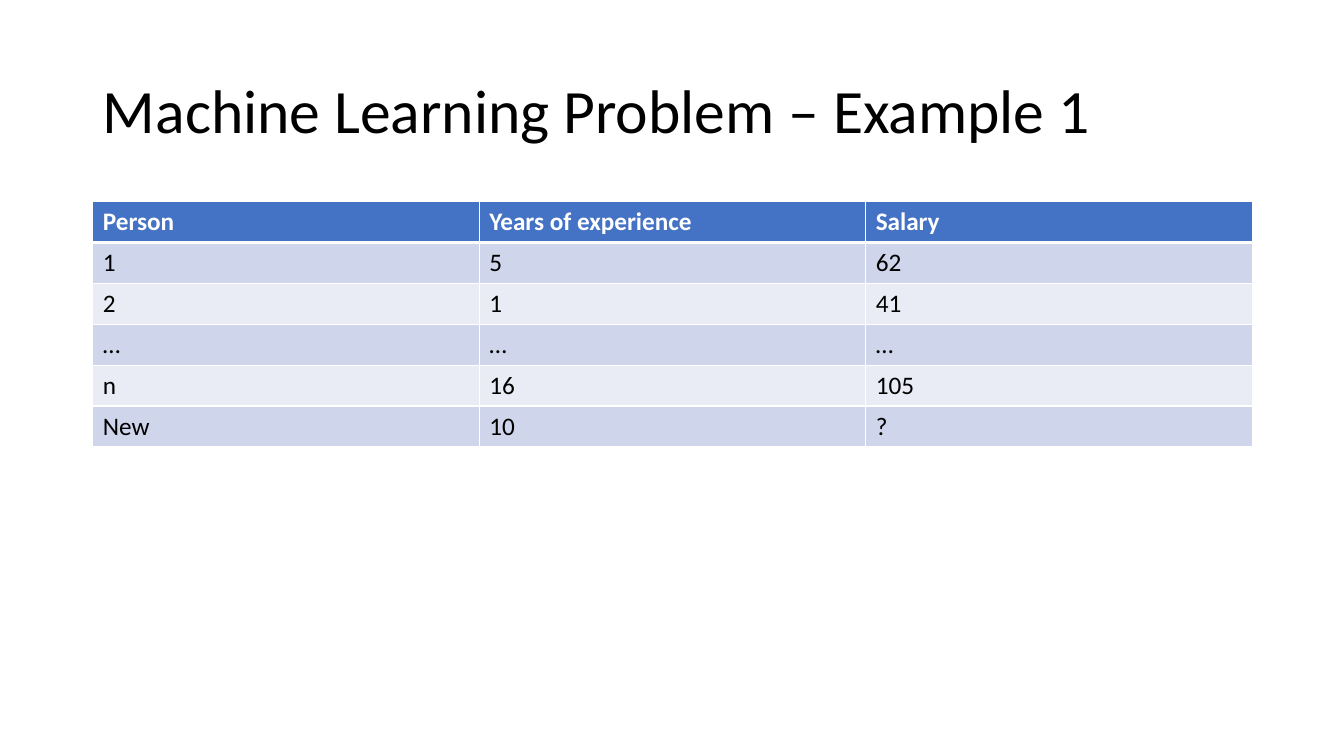
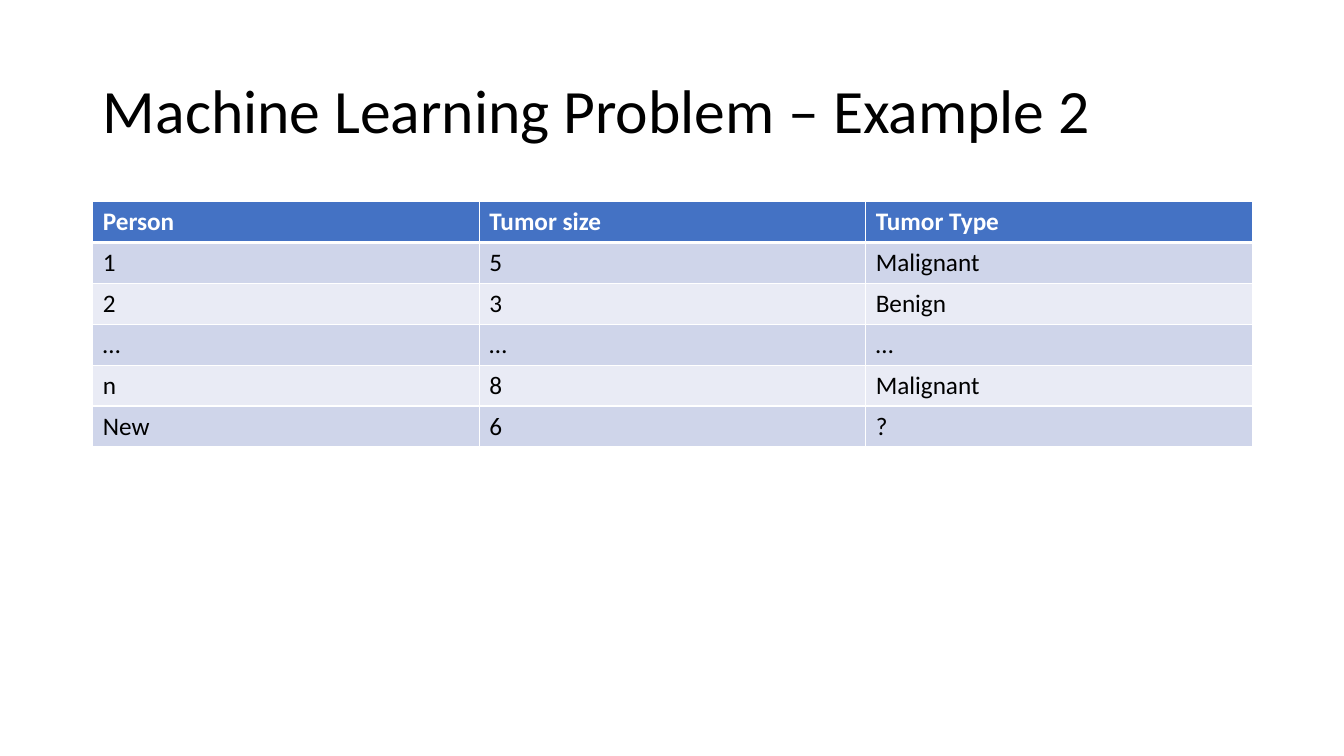
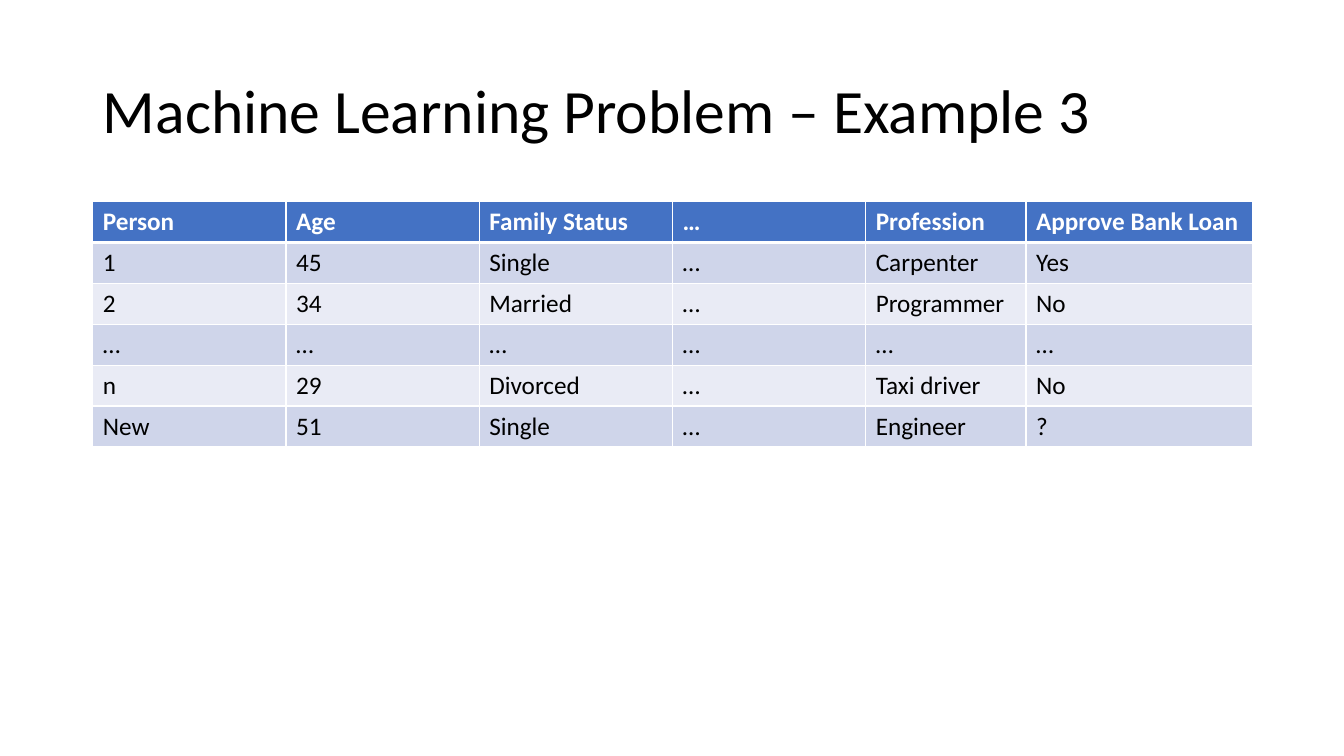
from lxml import etree
from pptx import Presentation
from pptx.dml.color import RGBColor
from pptx.enum.text import MSO_ANCHOR, PP_ALIGN
from pptx.oxml.ns import qn
from pptx.util import Inches, Pt

LEFT = PP_ALIGN.LEFT
MIDDLE = MSO_ANCHOR.MIDDLE

# Shared style
FONT = "Calibri"
BLACK, WHITE = "000000", "FFFFFF"
HEAD, DARK, LIGHT = "4472C4", "CFD5EA", "E9EBF5"
EDGE, WIDTH = 0.92, 11.5
TOP, ROW = 2, 0.405


def style(para, size, color, bold=False):
    para.font.name = FONT
    para.font.size = Pt(size)
    para.font.bold = bold
    para.font.color.rgb = RGBColor.from_string(color)


def border(cell, side, width):
    props = cell._tc.get_or_add_tcPr()
    line = etree.SubElement(props, qn("a:ln" + side), w=str(Pt(width)))
    fill = etree.SubElement(line, qn("a:solidFill"))
    etree.SubElement(fill, qn("a:srgbClr"), val=WHITE)


# Column widths and rows of each example
thirds = [WIDTH / 3] * 3
sixths = [WIDTH / 6] * 4 + [1.59, 2.25]
examples = [
    (thirds, [
        ["Person", "Years of experience", "Salary"],
        ["1", "5", "62"],
        ["2", "1", "41"],
        ["…", "…", "…"],
        ["n", "16", "105"],
        ["New", "10", "?"],
    ]),
    (thirds, [
        ["Person", "Tumor size", "Tumor Type"],
        ["1", "5", "Malignant"],
        ["2", "3", "Benign"],
        ["…", "…", "…"],
        ["n", "8", "Malignant"],
        ["New", "6", "?"],
    ]),
    (sixths, [
        ["Person", "Age", "Family Status", "…", "Profession", "Approve Bank Loan"],
        ["1", "45", "Single", "…", "Carpenter", "Yes"],
        ["2", "34", "Married", "…", "Programmer", "No"],
        ["…", "…", "…", "…", "…", "…"],
        ["n", "29", "Divorced", "…", "Taxi driver", "No"],
        ["New", "51", "Single", "…", "Engineer", "?"],
    ]),
]

deck = Presentation()
deck.slide_width = Inches(13.33)
deck.slide_height = Inches(7.5)

for number, (widths, rows) in enumerate(examples, 1):
    slide = deck.slides.add_slide(deck.slide_layouts[5])

    # Title
    title = slide.shapes.title
    title.left, title.top = Inches(EDGE), Inches(0.4)
    title.width, title.height = Inches(WIDTH), Inches(1.45)
    title.text_frame.text = f"Machine Learning Problem – Example {number}"
    title.text_frame.vertical_anchor = MIDDLE
    para = title.text_frame.paragraphs[0]
    para.alignment = LEFT
    para.line_spacing = 0.9
    style(para, 44, BLACK)

    # Table
    table = slide.shapes.add_table(
        len(rows), len(widths), Inches(EDGE), Inches(TOP),
        Inches(WIDTH), Inches(ROW * len(rows))).table
    for col, width in zip(table.columns, widths):
        col.width = Inches(width)

    for r, row in enumerate(rows):
        shade = HEAD if r == 0 else DARK if r % 2 else LIGHT
        for c, text in enumerate(row):
            cell = table.cell(r, c)
            cell.text = text
            style(cell.text_frame.paragraphs[0], 18,
                  WHITE if r == 0 else BLACK, r == 0)
            # A thick rule parts the header from the body
            border(cell, "L", 1)
            border(cell, "R", 1)
            border(cell, "T", 3 if r == 1 else 1)
            border(cell, "B", 3 if r == 0 else 1)
            cell.fill.solid()
            cell.fill.fore_color.rgb = RGBColor.from_string(shade)

deck.save("out.pptx")
